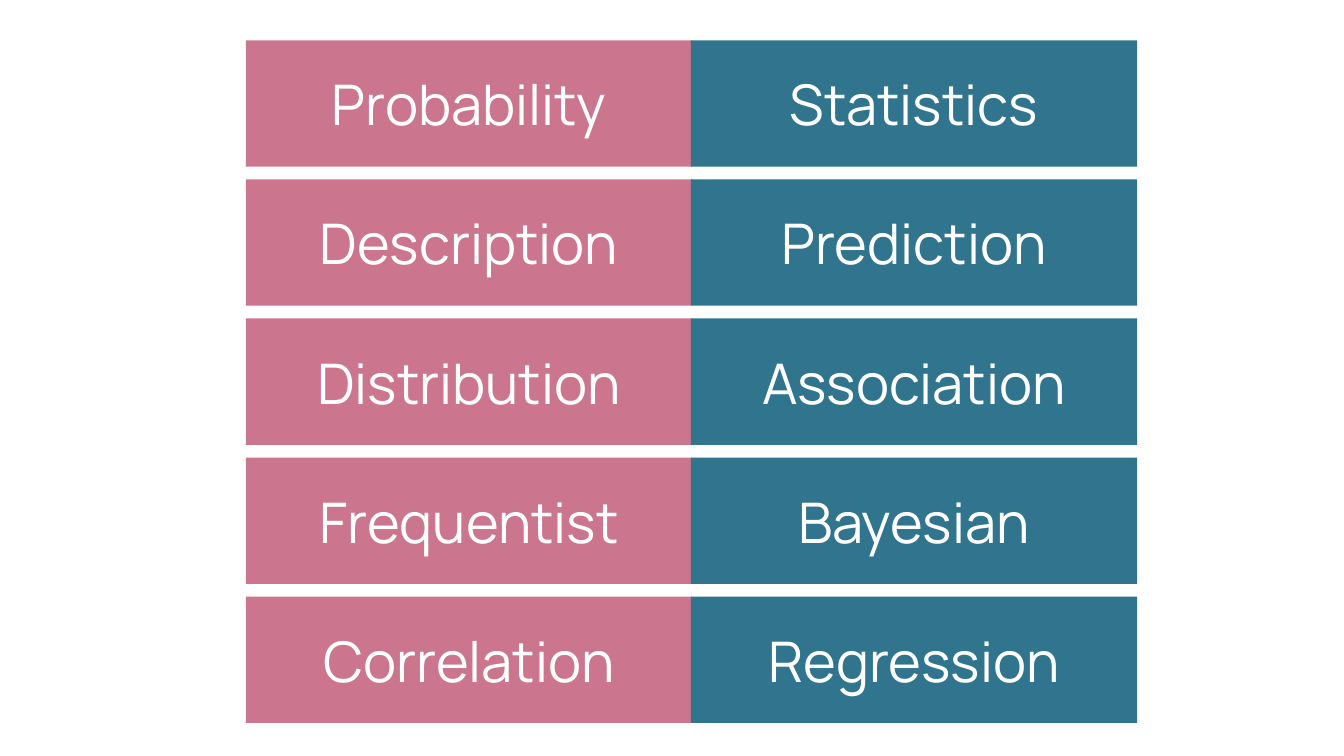
from pptx import Presentation
from pptx.dml.color import RGBColor
from pptx.enum.shapes import MSO_SHAPE
from pptx.enum.text import MSO_ANCHOR, PP_ALIGN
from pptx.util import Pt

RECT = MSO_SHAPE.RECTANGLE
MIDDLE = MSO_ANCHOR.MIDDLE
CENTER = PP_ALIGN.CENTER

PINK = RGBColor(0xCB, 0x75, 0x8E)
TEAL = RGBColor(0x30, 0x75, 0x8D)
WHITE = RGBColor(0xFF, 0xFF, 0xFF)

SCALE = 4572  # EMU per px, 200 px to the inch
WIDE, HIGH = 2000, 1125
LEFT, TOP = 366, 60
BOX_W, BOX_H = 664, 188
STEP_X, STEP_Y = 662, 207
INSET = 20

FILLS = (PINK, TEAL)
PAIRS = (
    ("Probability", "Statistics"),
    ("Description", "Prediction"),
    ("Distribution", "Association"),
    ("Frequentist", "Bayesian"),
    ("Correlation", "Regression"),
)
FONT = {"name": "Manrope", "size": Pt(30)}
FRAME = {
    "word_wrap": True,
    "vertical_anchor": MIDDLE,
    "margin_left": INSET * SCALE,
    "margin_top": INSET * SCALE,
    "margin_right": INSET * SCALE,
    "margin_bottom": INSET * SCALE,
}


def px(count):
    return count * SCALE


def style(item, values):
    """Set each named value as an attribute of item."""
    for name, value in values.items():
        setattr(item, name, value)


def add_box(slide, x, y, text, fill):
    box = slide.shapes.add_shape(RECT, px(x), px(y), px(BOX_W), px(BOX_H))
    box.shadow.inherit = False
    box.fill.solid()
    box.fill.fore_color.rgb = fill
    box.line.fill.background()
    frame = box.text_frame
    style(frame, FRAME)
    para = frame.paragraphs[0]
    para.alignment = CENTER
    run = para.add_run()
    run.text = text
    style(run.font, FONT)
    run.font.color.rgb = WHITE


def main():
    deck = Presentation()
    deck.slide_width, deck.slide_height = px(WIDE), px(HIGH)
    slide = deck.slides.add_slide(deck.slide_layouts[6])
    for row, pair in enumerate(PAIRS):
        for col, (text, fill) in enumerate(zip(pair, FILLS)):
            add_box(slide, LEFT + col * STEP_X, TOP + row * STEP_Y, text, fill)
    deck.save("out.pptx")


if __name__ == "__main__":
    main()
